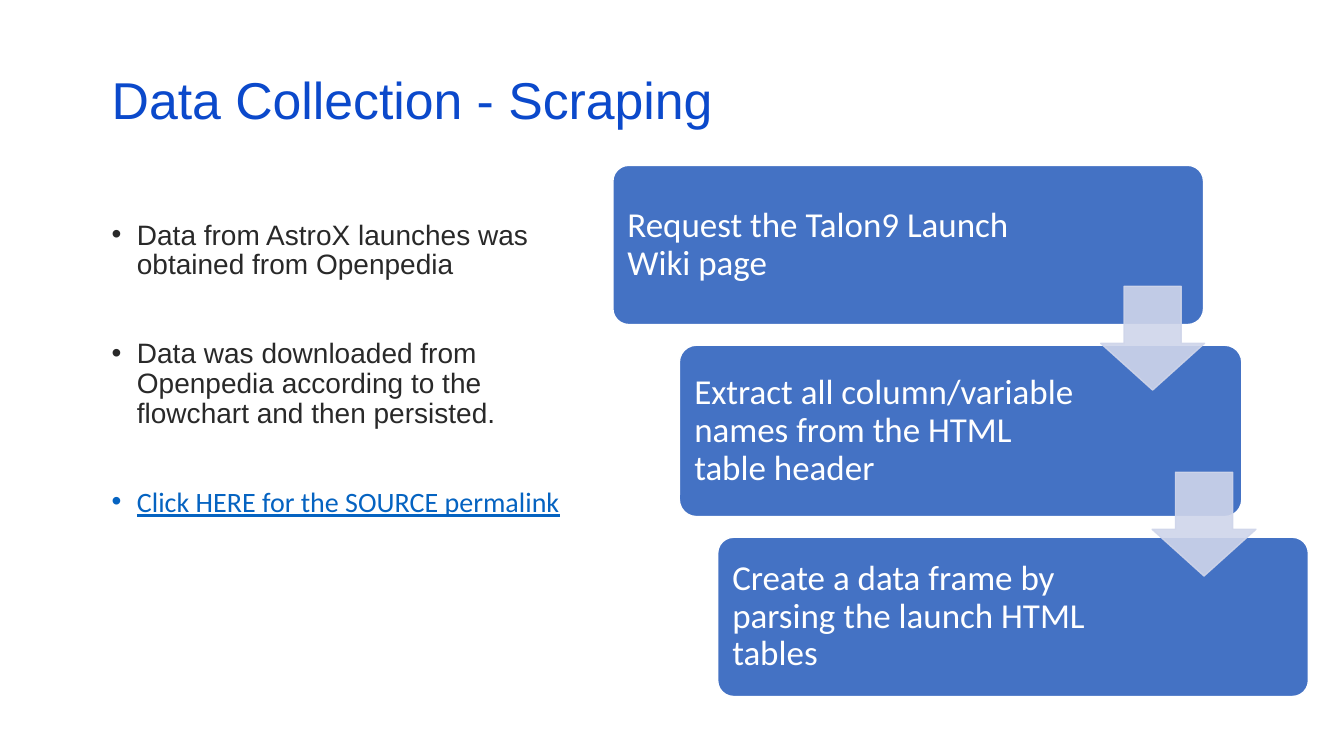
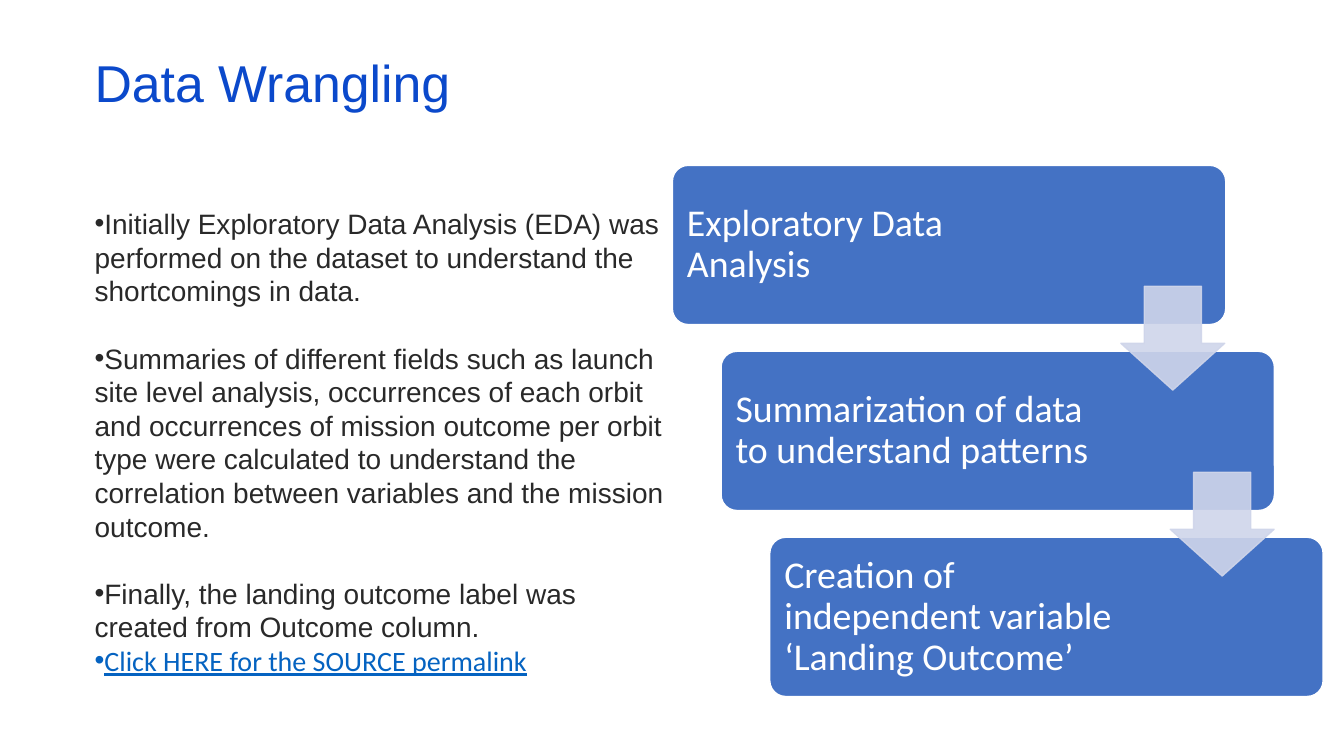
from pptx import Presentation
from pptx.dml.color import RGBColor
from pptx.enum.shapes import MSO_SHAPE as Shape
from pptx.enum.text import MSO_ANCHOR as Anchor, PP_ALIGN as Align
from pptx.oxml.ns import qn
from pptx.util import Emu, Inches, Pt
from lxml.etree import SubElement

COLUMNS, ROWS = 80, 45
WIDTH, HEIGHT = Inches(13.33), Inches(7.5)


def color(hex_text):
    return RGBColor.from_string(hex_text)


def write(paragraph, text, *, font="Arial", size=20, ink="292929",
          underline=False, spacing=1.0, before=0):
    """Add one formatted run to a paragraph."""
    paragraph.alignment = Align.LEFT
    paragraph.line_spacing = spacing
    paragraph.space_before = Pt(before)
    run = paragraph.add_run()
    run.text = text
    run.font.name, run.font.size = font, Pt(size)
    run.font.color.rgb = color(ink)
    run.font.underline = underline


class Deck:
    TITLE, LINK = "0B49CB", "0563C1"
    CARD, ARROW, WHITE = "4472C4", "CFD5EA", "FFFFFF"
    CARD_CENTER, CARD_PITCH = 14.58, 11.07
    ARROW_TOP, ARROW_SIZE = 17.04, 6.18

    def __init__(self):
        self.show = Presentation()
        self.show.slide_width, self.show.slide_height = WIDTH, HEIGHT
        self.slide = None

    # Grid
    def place(self, left, top, width, height):
        return (Emu(round(WIDTH * left / COLUMNS)),
                Emu(round(HEIGHT * top / ROWS)),
                Emu(round(WIDTH * width / COLUMNS)),
                Emu(round(HEIGHT * height / ROWS)))

    # Elements
    def new_slide(self):
        self.slide = self.show.slides.add_slide(self.show.slide_layouts[6])

    def text_frame(self, *box, anchor=Anchor.TOP):
        frame = self.slide.shapes.add_textbox(*self.place(*box)).text_frame
        frame.word_wrap = True
        frame.vertical_anchor = anchor
        return frame

    def title(self, text, left, top):
        frame = self.text_frame(left, top, 69, 3.6, anchor=Anchor.MIDDLE)
        write(frame.paragraphs[0], text, size=37, ink=self.TITLE, spacing=0.7)

    def bullets(self, items, *box, hanging, pitch):
        """Each item is (text, space before, is link)."""
        frame = self.text_frame(*box)
        for index, (text, before, is_link) in enumerate(items):
            paragraph = frame.add_paragraph() if index else frame.paragraphs[0]
            style = dict(font="Calibri", ink=self.LINK, underline=True) if is_link else {}
            write(paragraph, text, spacing=Pt(pitch), before=before, **style)
            props = paragraph._p.get_or_add_pPr()
            props.set("marL", str(Inches(hanging)))
            props.set("indent", str(-Inches(hanging)))
            SubElement(props, qn("a:buFont")).set("typeface", "Arial")
            SubElement(props, qn("a:buChar")).set("char", "•")

    def shape(self, kind, box, fill, line):
        shape = self.slide.shapes.add_shape(kind, *self.place(*box))
        shape.shadow.inherit = False
        shape.fill.solid()
        shape.fill.fore_color.rgb = color(fill)
        shape.line.color.rgb = color(line)
        shape.line.width = Pt(1)
        return shape

    def card(self, step, text, left, width, height, size):
        top = self.CARD_CENTER + step * self.CARD_PITCH - height / 2
        card = self.shape(Shape.ROUNDED_RECTANGLE, (left, top, width, height),
                          self.CARD, self.WHITE)
        card.adjustments[0] = 0.1
        frame = card.text_frame
        frame.word_wrap = True
        frame.vertical_anchor = Anchor.MIDDLE
        frame.margin_left = frame.margin_top = frame.margin_bottom = Inches(0.1)
        frame.margin_right = Inches(1.6)
        write(frame.paragraphs[0], text, font="Calibri", size=size,
              ink=self.WHITE, spacing=0.9)

    def arrow(self, step, left):
        top = self.ARROW_TOP + step * self.CARD_PITCH
        arrow = self.shape(Shape.DOWN_ARROW, (left, top, self.ARROW_SIZE, self.ARROW_SIZE),
                           self.ARROW, self.ARROW)
        arrow.adjustments[0], arrow.adjustments[1] = 0.55, 0.45
        for tint in arrow._element.spPr.iter(qn("a:srgbClr")):
            SubElement(tint, qn("a:alpha")).set("val", "90000")

    def staircase(self, cards, size, arrow_left, arrow_shift):
        """Each card is (text, left, width, height)."""
        for step, card in enumerate(cards):
            self.card(step, *card, size)
        for step in range(len(cards) - 1):
            self.arrow(step, arrow_left + step * arrow_shift)


def main():
    deck = Deck()
    permalink = "Click HERE for the SOURCE permalink"

    # Scraping
    deck.new_slide()
    deck.bullets([
        ("Data from AstroX launches was obtained from Openpedia", 0, False),
        ("Data was downloaded from Openpedia according to the flowchart "
         "and then persisted.", 42, False),
        (permalink, 42, True),
    ], 6.06, 12.84, 29.46, 27, hanging=0.25, pitch=21.4)
    deck.title("Data Collection - Scraping", 6.06, 4.56)
    deck.staircase([
        ("Request the Talon9 Launch Wiki page", 36.48, 35.16, 9.48),
        ("Extract all column/variable names from the HTML table header",
         40.44, 33.48, 10.2),
        ("Create a data frame by parsing the launch HTML tables",
         42.72, 35.16, 9.48),
    ], size=25, arrow_left=65.52, arrow_shift=3.06)

    # Wrangling
    deck.new_slide()
    deck.bullets([
        ("Initially Exploratory Data Analysis (EDA) was performed on the "
         "dataset to understand the shortcomings in data.", 0, False),
        ("Summaries of different fields such as launch site level analysis, "
         "occurrences of each orbit and occurrences of mission outcome per "
         "orbit type were calculated to understand the correlation between "
         "variables and the mission outcome.", 24, False),
        ("Finally, the landing outcome label was created from Outcome column.",
         24, False),
        (permalink, 0, True),
    ], 5.04, 12, 35.1, 28, hanging=0, pitch=24)
    deck.title("Data Wrangling", 5.04, 3.54)
    stages = ["Exploratory Data Analysis",
              "Summarization of data to understand patterns",
              "Creation of independent variable ‘Landing Outcome’"]
    deck.staircase([(stage, 40.02 + 2.9 * step, 32.94, 9.48)
                    for step, stage in enumerate(stages)],
                   size=27, arrow_left=66.72, arrow_shift=2.94)

    deck.show.save("out.pptx")


if __name__ == "__main__":
    main()
